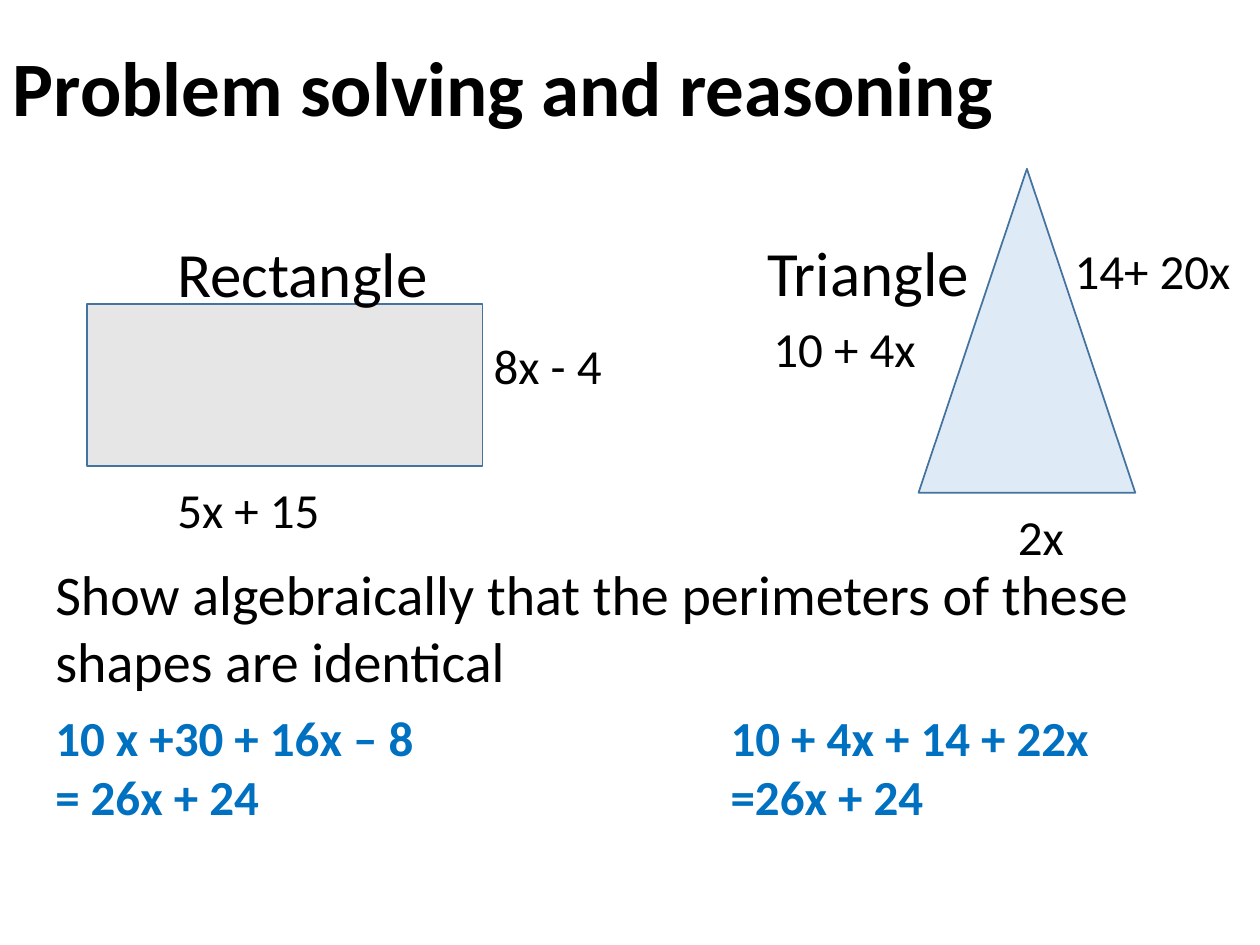
from pptx import Presentation
from pptx.dml.color import RGBColor
from pptx.enum.shapes import MSO_SHAPE
from pptx.enum.text import MSO_ANCHOR, PP_ALIGN
from pptx.util import Inches, Pt

COLORS = {
    "text": "000000",
    "answer": "0070C0",
    "rectangle": "E7E6E6",
    "triangle": "DEEBF7",
    "outline": "43739E",
}


def write_text(shape, text, size=28, color="text", bold=False,
               anchor=MSO_ANCHOR.TOP, line_spacing=None):
    """Fill a shape with text, one paragraph for each line."""
    frame = shape.text_frame
    frame.word_wrap = True
    frame.vertical_anchor = anchor
    frame.text = text
    for paragraph in frame.paragraphs:
        paragraph.alignment = PP_ALIGN.LEFT
        paragraph.line_spacing = line_spacing
        paragraph.font.name = "Calibri"
        paragraph.font.size = Pt(size)
        paragraph.font.bold = bold
        paragraph.font.color.rgb = RGBColor.from_string(COLORS[color])


def add_text(slide, text, left, top, width, height=0.57, **text_format):
    box = slide.shapes.add_textbox(
        Inches(left), Inches(top), Inches(width), Inches(height))
    write_text(box, text, **text_format)


def add_figure(slide, kind, color, box, labels):
    """Draw a shape; labels are (text, size, x, y, width, height) from its corner."""
    left, top, width, height = box
    shape = slide.shapes.add_shape(
        kind, Inches(left), Inches(top), Inches(width), Inches(height))
    shape.shadow.inherit = False
    shape.fill.solid()
    shape.fill.fore_color.rgb = RGBColor.from_string(COLORS[color])
    shape.line.color.rgb = RGBColor.from_string(COLORS["outline"])
    shape.line.width = Pt(1)
    for text, size, x, y, label_width, label_height in labels:
        add_text(slide, text, left + x, top + y, label_width, label_height, size=size)


def add_title(slide, text, left, top, width, height):
    title = slide.shapes.title
    title.left, title.top = Inches(left), Inches(top)
    title.width, title.height = Inches(width), Inches(height)
    write_text(title, text, size=44, bold=True,
               anchor=MSO_ANCHOR.MIDDLE, line_spacing=0.9)


def add_task(slide, left, top):
    """Place the question with the two workings below it."""
    add_text(slide,
             "Show algebraically that the perimeters of these shapes are identical",
             left, top, 9.72, 1.18, size=32)
    workings = [
        ("10 x +30 + 16x – 8\n= 26x + 24", 0, 5.98),
        ("10 + 4x + 14 + 22x\n=26x + 24", 5.36, 5.12),
    ]
    for text, x, width in workings:
        add_text(slide, text, left + x, top + 1.18, width, 1.04,
                 color="answer", bold=True)


def main():
    presentation = Presentation()
    presentation.slide_width, presentation.slide_height = Inches(10), Inches(7.5)
    slide = presentation.slides.add_slide(presentation.slide_layouts[5])

    add_title(slide, "Problem solving and reasoning", 0, 0, 8.62, 1.45)

    # The two figures with their names and side lengths
    add_figure(slide, MSO_SHAPE.RECTANGLE, "rectangle", (0.69, 2.41, 3.14, 1.29), [
        ("Rectangle", 36, 0.62, -0.6, 2.69, 0.71),
        ("5x + 15", 28, 0.62, 1.35, 2.53, 0.57),
        ("8x - 4", 28, 3.13, 0.2, 1.54, 0.57),
    ])
    add_figure(slide, MSO_SHAPE.ISOSCELES_TRIANGLE, "triangle", (7.29, 1.34, 1.72, 2.57), [
        ("Triangle", 36, -1.3, 0.46, 2.69, 0.71),
        ("2x", 28, 0.69, 2.63, 1.19, 0.57),
        ("14+ 20x", 28, 1.14, 0.52, 1.57, 0.57),
        ("10 + 4x", 28, -1.25, 1.14, 1.77, 0.57),
    ])

    # Question and answers
    add_task(slide, 0.34, 4.39)

    presentation.save("out.pptx")


if __name__ == "__main__":
    main()
